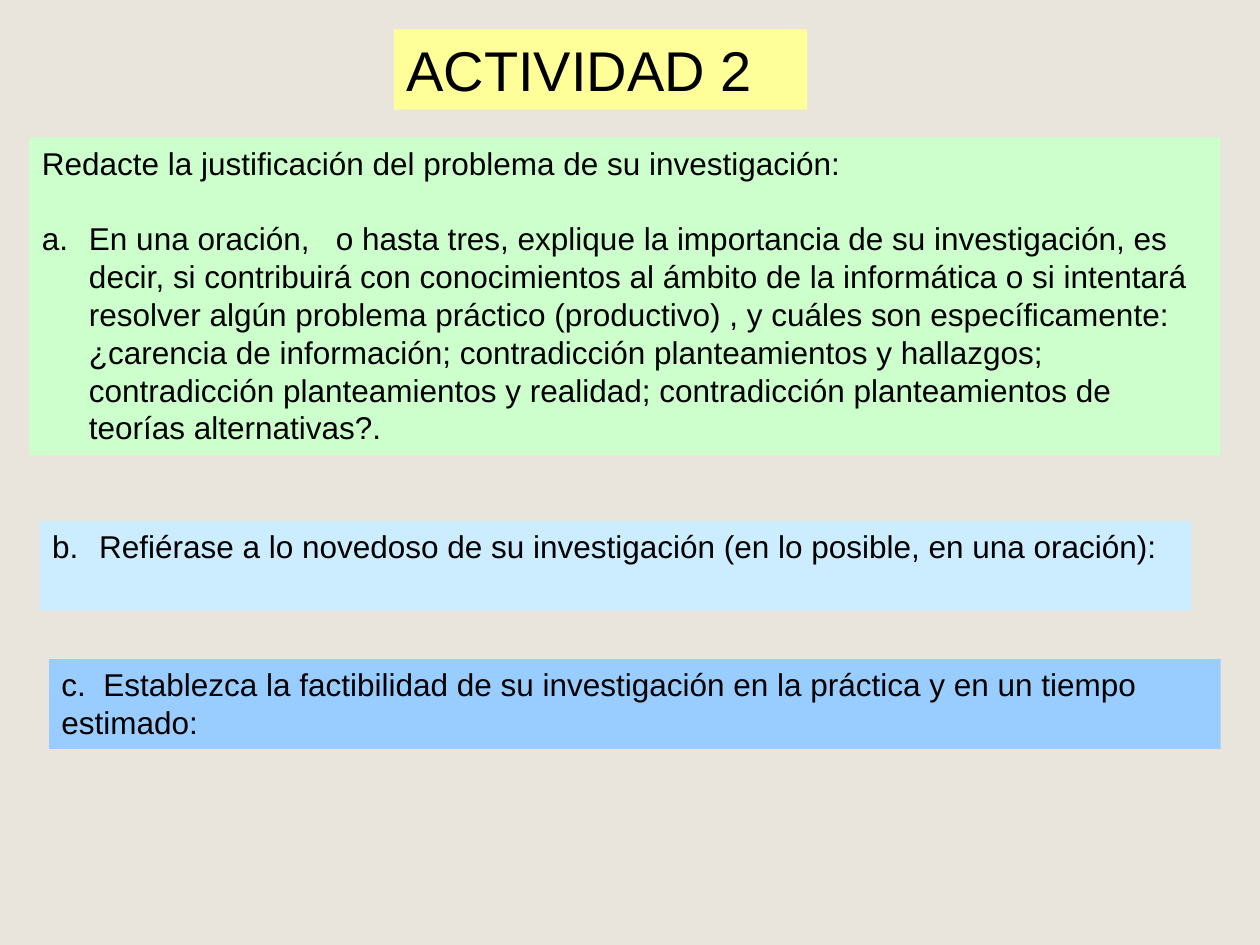
"""Build the "ACTIVIDAD 2" slide: a title and three coloured task panels."""
from lxml.etree import SubElement
from pptx import Presentation
from pptx.dml.color import RGBColor
from pptx.enum.text import MSO_ANCHOR as Anchor, MSO_AUTO_SIZE as AutoSize, PP_ALIGN as Align
from pptx.oxml.ns import qn
from pptx.util import Cm, Pt

BACKGROUND = RGBColor(0xE9, 0xE5, 0xDC)
YELLOW = RGBColor(0xFF, 0xFF, 0x99)
GREEN = RGBColor(0xCC, 0xFF, 0xCC)
PALE_BLUE = RGBColor(0xCC, 0xEC, 0xFF)
BLUE = RGBColor(0x99, 0xCC, 0xFF)
BLACK = RGBColor(0, 0, 0)


def write(paragraph, text, size=18, letter=None, before=0):
    """Fill a paragraph; letter is its place in an a., b., c. list."""
    run = paragraph.add_run()
    run.text = text
    run.font.name = "Arial"
    run.font.size = Pt(size)
    run.font.color.rgb = BLACK
    paragraph.alignment = Align.LEFT
    paragraph.space_before = Pt(before)
    properties = paragraph._p.get_or_add_pPr()
    indent = Cm(0.95) if letter else 0
    properties.set("marL", str(indent))
    properties.set("indent", str(-indent))
    if letter:
        SubElement(properties, qn("a:buFont"), typeface="Arial")
        SubElement(properties, qn("a:buAutoNum"), type="alphaLcPeriod", startAt=str(letter))
    else:
        SubElement(properties, qn("a:buNone"))


deck = Presentation()
deck.slide_width, deck.slide_height = Cm(25.4), Cm(19.05)
slide = deck.slides.add_slide(deck.slide_layouts[1])
slide.background.fill.solid()
slide.background.fill.fore_color.rgb = BACKGROUND

heading = slide.shapes.title
importance = slide.placeholders[1]
novelty = slide.shapes.add_textbox(0, 0, 0, 0)
feasibility = slide.shapes.add_textbox(0, 0, 0, 0)

panels = [
    (heading, YELLOW, 7.94, 0.59, 8.33, 1.62),
    (importance, GREEN, 0.59, 2.77, 24.01, 6.41),
    (novelty, PALE_BLUE, 0.8, 10.5, 23.22, 1.81),
    (feasibility, BLUE, 0.99, 13.29, 23.62, 1.81),
]
for panel, color, left, top, width, height in panels:
    panel.left, panel.top = Cm(left), Cm(top)
    panel.width, panel.height = Cm(width), Cm(height)
    panel.fill.solid()
    panel.fill.fore_color.rgb = color
    panel.text_frame.word_wrap = True
    panel.text_frame.auto_size = AutoSize.NONE
    panel.text_frame.vertical_anchor = Anchor.TOP

write(heading.text_frame.paragraphs[0], "ACTIVIDAD 2", size=32)
write(importance.text_frame.paragraphs[0],
      "Redacte la justificación del problema de su investigación:")
write(importance.text_frame.add_paragraph(),
      "En una oración,   o hasta tres, explique la importancia de su investigación, es decir, "
      "si contribuirá con conocimientos al ámbito de la informática o si intentará resolver "
      "algún problema práctico (productivo) , y cuáles son específicamente: ¿carencia de "
      "información; contradicción planteamientos y hallazgos; contradicción planteamientos "
      "y realidad; contradicción planteamientos de teorías alternativas?.",
      letter=1, before=21.6)
write(novelty.text_frame.paragraphs[0],
      "Refiérase a lo novedoso de su investigación (en lo posible, en una oración):", letter=2)
write(feasibility.text_frame.paragraphs[0],
      "c.  Establezca la factibilidad de su investigación en la práctica y en un tiempo estimado:")

deck.save("out.pptx")
